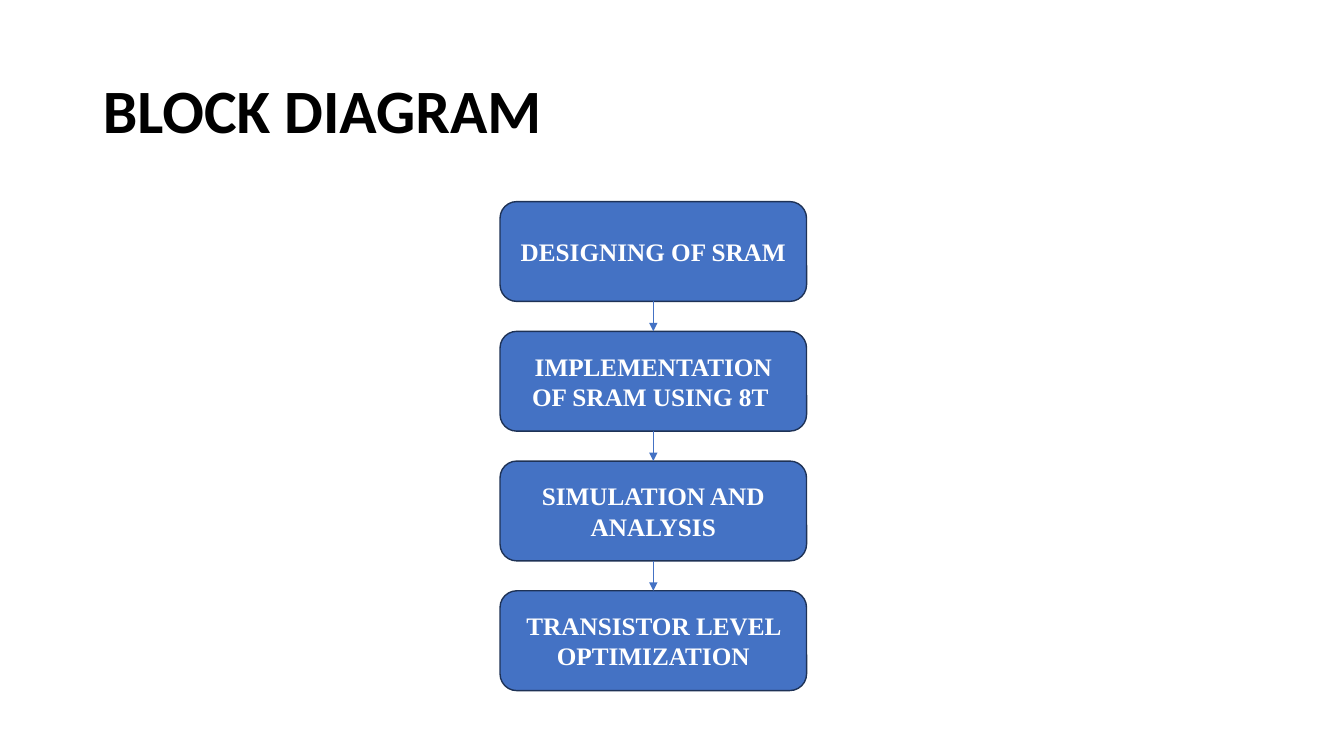
from lxml import etree
from pptx import Presentation
from pptx.dml.color import RGBColor
from pptx.enum.shapes import MSO_CONNECTOR, MSO_SHAPE
from pptx.enum.text import MSO_ANCHOR, PP_ALIGN
from pptx.oxml.ns import qn
from pptx.util import Inches, Pt

ROUNDED = MSO_SHAPE.ROUNDED_RECTANGLE
STRAIGHT = MSO_CONNECTOR.STRAIGHT
MIDDLE = MSO_ANCHOR.MIDDLE
LEFT, CENTER = PP_ALIGN.LEFT, PP_ALIGN.CENTER

BLACK = RGBColor(0x00, 0x00, 0x00)
WHITE = RGBColor(0xFF, 0xFF, 0xFF)
BLUE = RGBColor(0x44, 0x72, 0xC4)
NAVY = RGBColor(0x1E, 0x32, 0x56)

# Column of steps, in inches
STEP_LEFT, STEP_TOP = 4.96, 2.0
STEP_WIDTH, STEP_HEIGHT = 3.04, 0.99
STEP_PITCH = 1.287
STEPS = [
    "DESIGNING OF SRAM",
    "IMPLEMENTATION OF SRAM USING 8T ",
    "SIMULATION AND ANALYSIS",
    "TRANSISTOR LEVEL OPTIMIZATION",
]


def write(shape, text, align, color, font_format):
    frame = shape.text_frame
    frame.word_wrap = True
    frame.vertical_anchor = MIDDLE
    para = frame.paragraphs[0]
    para.alignment = align
    span = para.add_run()
    span.text = text
    span.font.color.rgb = color
    for name, value in font_format.items():
        setattr(span.font, name, value)
    return para


deck = Presentation()
deck.slide_width, deck.slide_height = Inches(13.33), Inches(7.5)
page = deck.slides.add_slide(deck.slide_layouts[5])

# Title
title = page.shapes.title
title.left, title.top = Inches(0.92), Inches(0.4)
title.width, title.height = Inches(11.5), Inches(1.45)
heading = write(title, "BLOCK DIAGRAM", LEFT, BLACK,
                {"name": "Calibri", "size": Pt(44), "bold": True})
heading.line_spacing = 0.9

# Steps
boxes = []
for row, label in enumerate(STEPS):
    box = page.shapes.add_shape(
        ROUNDED, Inches(STEP_LEFT), Inches(STEP_TOP + row * STEP_PITCH),
        Inches(STEP_WIDTH), Inches(STEP_HEIGHT))
    box.shadow.inherit = False
    box.fill.solid()
    box.fill.fore_color.rgb = BLUE
    box.line.color.rgb = NAVY
    box.line.width = Pt(1)
    write(box, label, CENTER, WHITE,
          {"name": "Times New Roman", "size": Pt(18), "bold": True})
    boxes.append(box)

# Arrows from the bottom of each step to the top of the next
for upper, lower in zip(boxes, boxes[1:]):
    arrow = page.shapes.add_connector(STRAIGHT, 0, 0, 0, 0)
    arrow.begin_connect(upper, 2)
    arrow.end_connect(lower, 0)
    arrow.line.color.rgb = BLUE
    arrow.line.width = Pt(0.5)
    etree.SubElement(arrow.line._get_or_add_ln(), qn("a:tailEnd"), type="triangle")
    etree.SubElement(arrow._element.spPr, qn("a:effectLst"))

deck.save("out.pptx")
